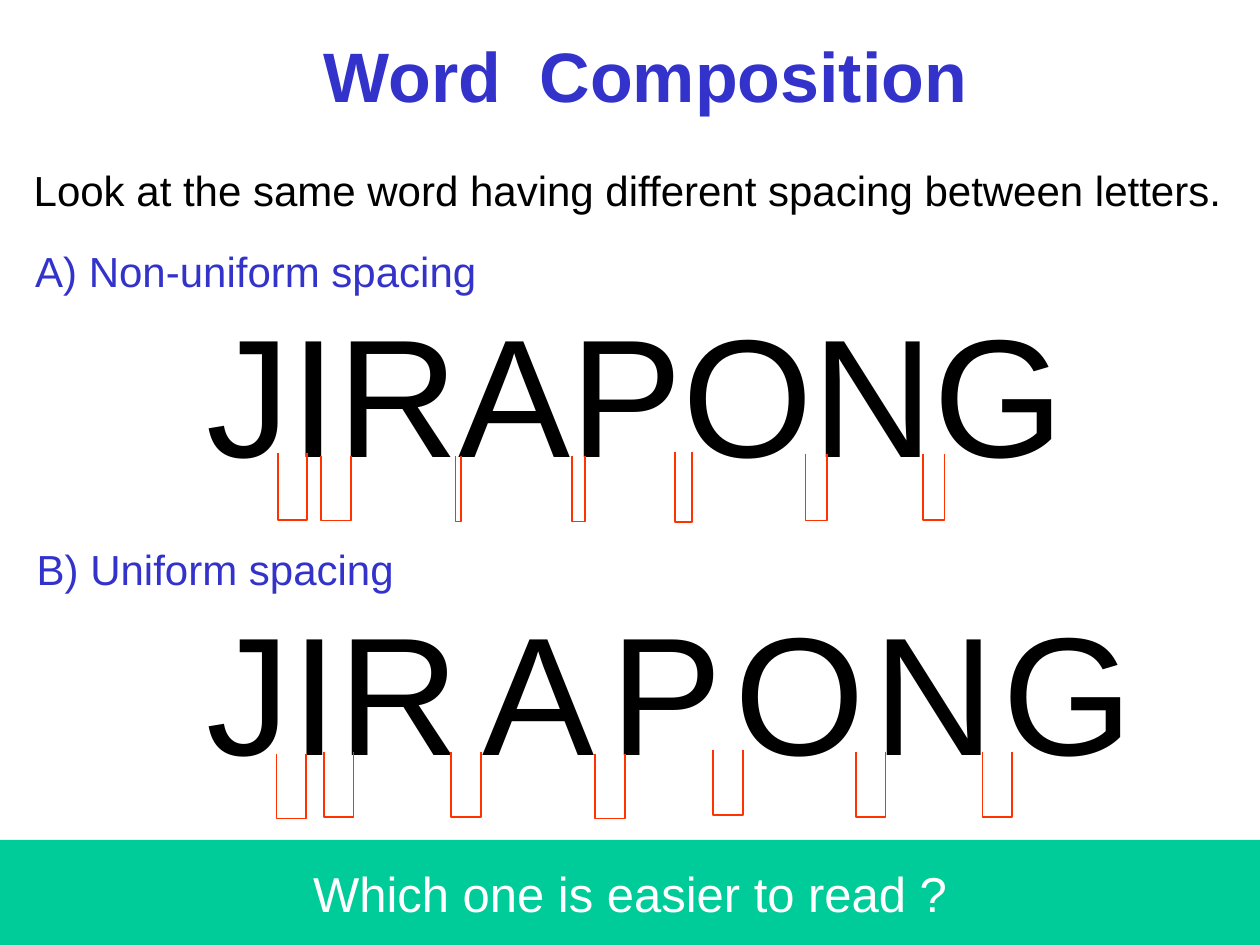
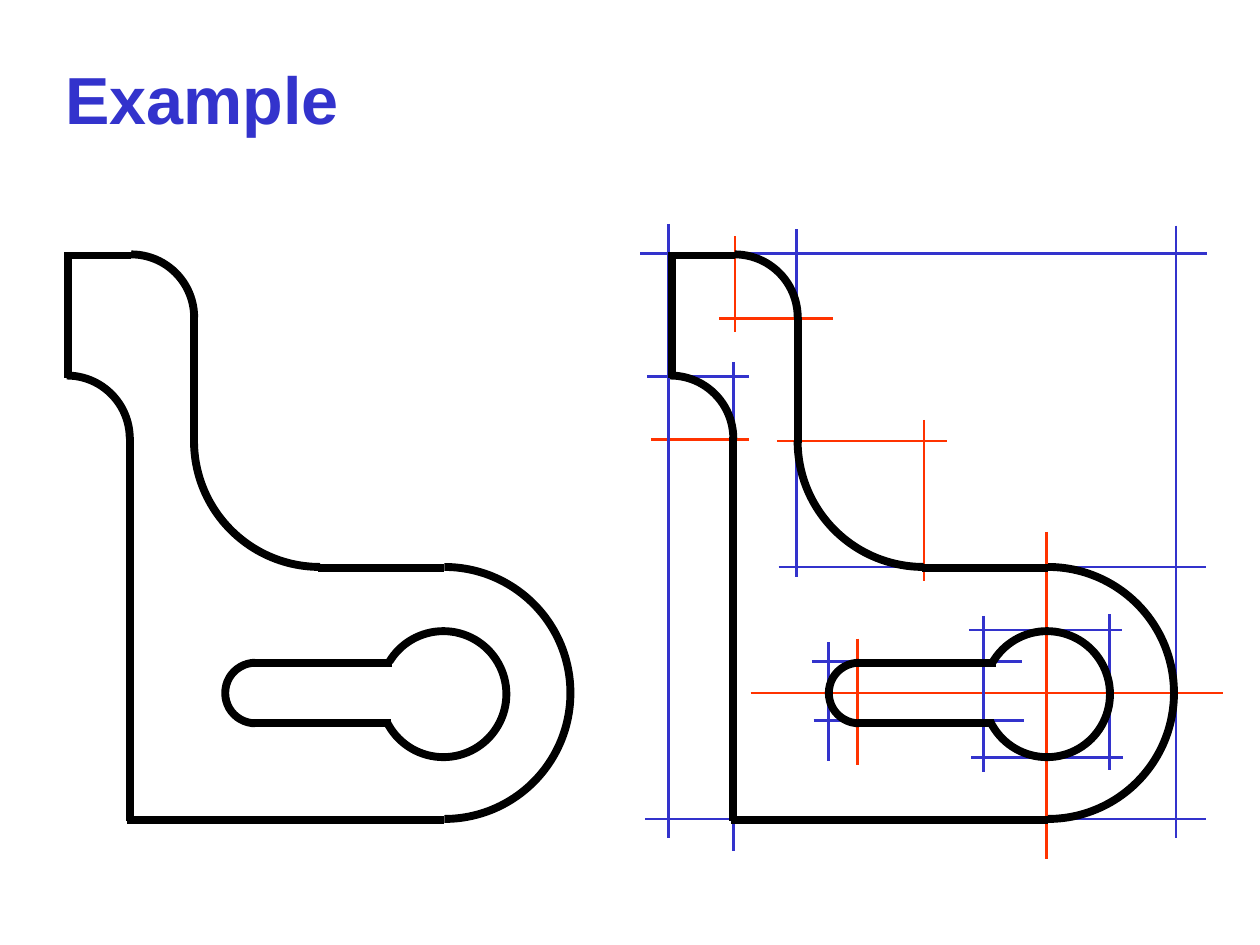
import pptx
import pptx.dml.color
import pptx.enum.shapes
import pptx.enum.text
import pptx.oxml.ns
import pptx.util
from lxml import etree

Pt = pptx.util.Pt
SHAPE = pptx.enum.shapes.MSO_SHAPE
ALIGN = pptx.enum.text.PP_ALIGN
ANCHOR = pptx.enum.text.MSO_ANCHOR

# Shared look
FONT = "Arial"
BLUE, RED, GREEN = "3333CC", "FF3300", "00CC99"
BLACK, WHITE = "000000", "FFFFFF"
TITLE_ONLY = 5
THIN, GUIDE, OUTLINE = 1, 1.5, 4.5

# Gaps under the letters: left, right, top, bottom
UNEVEN_GAPS = [
    (158.9, 175.4, 259, 297), (183.4, 200.6, 260.5, 297.4),
    (260.3, 263.4, 260.5, 298), (326.9, 334.3, 260.5, 298),
    (385.7, 395.4, 258.5, 298.5), (460.3, 472.6, 259.2, 297.4),
    (527.4, 539.7, 259.2, 297),
]
EVEN_GAP_W, EVEN_GAP_H = 17, 37
EVEN_GAPS = [(158, 430.7), (185, 430), (257.8, 430), (340, 430.7),
             (407.5, 428.6), (489, 430), (561.5, 430)]

# Letters set one by one: left edge and width of each box
LETTERS = [("J", 110.9, 63), ("I", 159.8, 41), ("R", 186.5, 84),
           ("A", 268.6, 78), ("P", 342, 78), ("O", 412.6, 89),
           ("N", 491.8, 84), ("G", 565.9, 89)]

# Bracket part: straight edges (x1, y1, x2, y2) and
# arcs (centre x, centre y, radius, start angle, end angle), clockwise from east
EDGES = [
    (38.9, 144, 38.9, 216), (38.9, 146, 74.9, 146),
    (74.2, 250, 74.2, 469.4), (111, 181.4, 111, 253.4),
    (182, 324.7, 254, 324.7), (254, 468.7, 72.7, 468.7),
    (145.4, 378.7, 224, 378.7), (145.4, 413.3, 223.2, 413.3),
]
ARCS = [
    (38.2, 250.6, 36, 270, 0), (75, 181.4, 36, 270, 0),
    (182.9, 252, 72, 90, 180), (254, 396, 72, 270, 90),
    (253.4, 396.7, 36, 211, 154), (146, 396, 17.3, 90, 270),
]
PART_SHIFT = 344.9

# Guide lines: level (y, x1, x2) and upright (x, y1, y2)
LEVEL_GUIDES = {
    BLUE: [(324, 445, 689), (468, 368.8, 689), (144.9, 365.8, 689.8),
           (215, 370, 428), (378, 464, 584), (411.9, 465, 585),
           (433, 555, 642), (360, 553.8, 641)],
    RED: [(182, 411, 476), (251.1, 372, 428), (252, 444, 541),
          (396, 429, 699)],
}
UPRIGHT_GUIDES = {
    BLUE: [(382, 128, 479), (419, 207, 486), (455, 131, 330),
           (473.5, 367, 435), (634, 351, 440), (562, 352, 441),
           (672, 129, 479)],
    RED: [(598, 304, 491), (490, 365, 437), (420, 135, 190),
          (528, 240, 332)],
}


def color(hex_string):
    return pptx.dml.color.RGBColor.from_string(hex_string)


def set_line(sp, hex_string, width):
    sp.line.color.rgb = color(hex_string)
    sp.line.width = Pt(width)


def write(tf, text, size=24, hue=BLACK, bold=False, align=ALIGN.LEFT,
          anchor=ANCHOR.TOP, wrap=False, spacing=None, word_gap=0):
    """Fill a frame with one paragraph; word_gap widens its spaces."""
    tf.word_wrap = wrap
    tf.auto_size = pptx.enum.text.MSO_AUTO_SIZE.NONE
    tf.vertical_anchor = anchor
    p = tf.paragraphs[0]
    p.alignment = align
    if spacing:
        p.line_spacing = spacing
    for part in (text.partition(" ") if word_gap else [text]):
        r = p.add_run()
        r.text = part
        r.font.name, r.font.size, r.font.bold = FONT, Pt(size), bold
        r.font.color.rgb = color(hue)
        if part == " ":
            r.font._element.set("spc", str(word_gap * 100))


def add_text(shapes, text, x, y, w, h, **style):
    sp = shapes.add_textbox(Pt(x), Pt(y), Pt(w), Pt(h))
    write(sp.text_frame, text, **style)


def add_title(slide, text, x, y, w, h, size, **style):
    sp = slide.shapes.title
    sp.left, sp.top, sp.width, sp.height = Pt(x), Pt(y), Pt(w), Pt(h)
    write(sp.text_frame, text, size=size, hue=BLUE, bold=True, **style)


def add_banner(shapes, text, x, y, w, h):
    sp = shapes.add_shape(SHAPE.RECTANGLE, Pt(x), Pt(y), Pt(w), Pt(h))
    sp.shadow.inherit = False
    sp.fill.solid()
    sp.fill.fore_color.rgb = color(GREEN)
    sp.line.fill.background()
    write(sp.text_frame, text, size=28, hue=WHITE, align=ALIGN.CENTER,
          anchor=ANCHOR.MIDDLE, wrap=True)


def add_gap_mark(shapes, left, right, top, bottom):
    """Open U shape that marks the gap between two letters."""
    builder = shapes.build_freeform(Pt(left), Pt(top))
    builder.add_line_segments([(Pt(left), Pt(bottom)), (Pt(right), Pt(bottom)),
                               (Pt(right), Pt(top))], close=False)
    sp = builder.convert_to_shape()
    sp.shadow.inherit = False
    sp.fill.background()
    set_line(sp, RED, THIN)


def add_line(shapes, x1, y1, x2, y2, hue, width):
    sp = shapes.add_connector(pptx.enum.shapes.MSO_CONNECTOR.STRAIGHT,
                              Pt(x1), Pt(y1), Pt(x2), Pt(y2))
    set_line(sp, hue, width)
    etree.SubElement(sp._element.spPr, pptx.oxml.ns.qn("a:effectLst"))


def add_arc(shapes, cx, cy, radius, start, end):
    sp = shapes.add_shape(SHAPE.ARC, Pt(cx - radius), Pt(cy - radius),
                          Pt(2 * radius), Pt(2 * radius))
    # Angles are kept in 60000ths of a degree, adjustments in 100000ths
    sp.adjustments[0] = start * 0.6
    sp.adjustments[1] = end * 0.6
    sp.shadow.inherit = False
    sp.fill.background()
    set_line(sp, BLACK, OUTLINE)


def add_bracket_part(shapes, dx=0):
    for x1, y1, x2, y2 in EDGES:
        add_line(shapes, x1 + dx, y1, x2 + dx, y2, BLACK, OUTLINE)
    for cx, cy, radius, start, end in ARCS:
        add_arc(shapes, cx + dx, cy, radius, start, end)


def add_guides(shapes):
    for hue, guides in LEVEL_GUIDES.items():
        for y, x1, x2 in guides:
            add_line(shapes, x1, y, x2, y, hue, GUIDE)
    for hue, guides in UPRIGHT_GUIDES.items():
        for x, y1, y2 in guides:
            add_line(shapes, x, y1, x, y2, hue, GUIDE)


def build_word_slide(slide):
    shapes = slide.shapes
    add_title(slide, "Word Composition", 177.8, 15.1, 383, 55.4, 40, word_gap=11)
    add_text(shapes, "Look at the same word having different spacing between letters.",
             12.2, 82, 701.3, 44.6, wrap=True, spacing=1.3)

    # Word with the font's own spacing
    add_text(shapes, "A) Non-uniform spacing", 13, 136.8, 267, 36, hue=BLUE)
    add_text(shapes, "JIRAPONG", 110.9, 162, 505.4, 122.4, size=96)
    marks = shapes.add_group_shape().shapes
    for gap in UNEVEN_GAPS:
        add_gap_mark(marks, *gap)

    # Word with equal gaps
    add_text(shapes, "B) Uniform spacing", 13.9, 307.2, 219, 36, hue=BLUE)
    word = shapes.add_group_shape().shapes
    for letter, x, w in LETTERS:
        add_text(word, letter, x, 332, w, 122.4, size=96)
    marks = shapes.add_group_shape().shapes
    for x, y in EVEN_GAPS:
        add_gap_mark(marks, x, x + EVEN_GAP_W, y, y + EVEN_GAP_H)

    add_banner(shapes, "Which one is easier to read ?", 0, 480, 720, 60)


def build_example_slide(slide):
    add_title(slide, "Example", 30, 29.5, 171, 52.6, 38)
    add_guides(slide.shapes)
    add_bracket_part(slide.shapes)
    add_bracket_part(slide.shapes, PART_SHIFT)


def main():
    prs = pptx.Presentation()
    prs.slide_width, prs.slide_height = Pt(720), Pt(540)
    for build in (build_word_slide, build_example_slide):
        build(prs.slides.add_slide(prs.slide_layouts[TITLE_ONLY]))
    prs.save("out.pptx")


if __name__ == "__main__":
    main()
